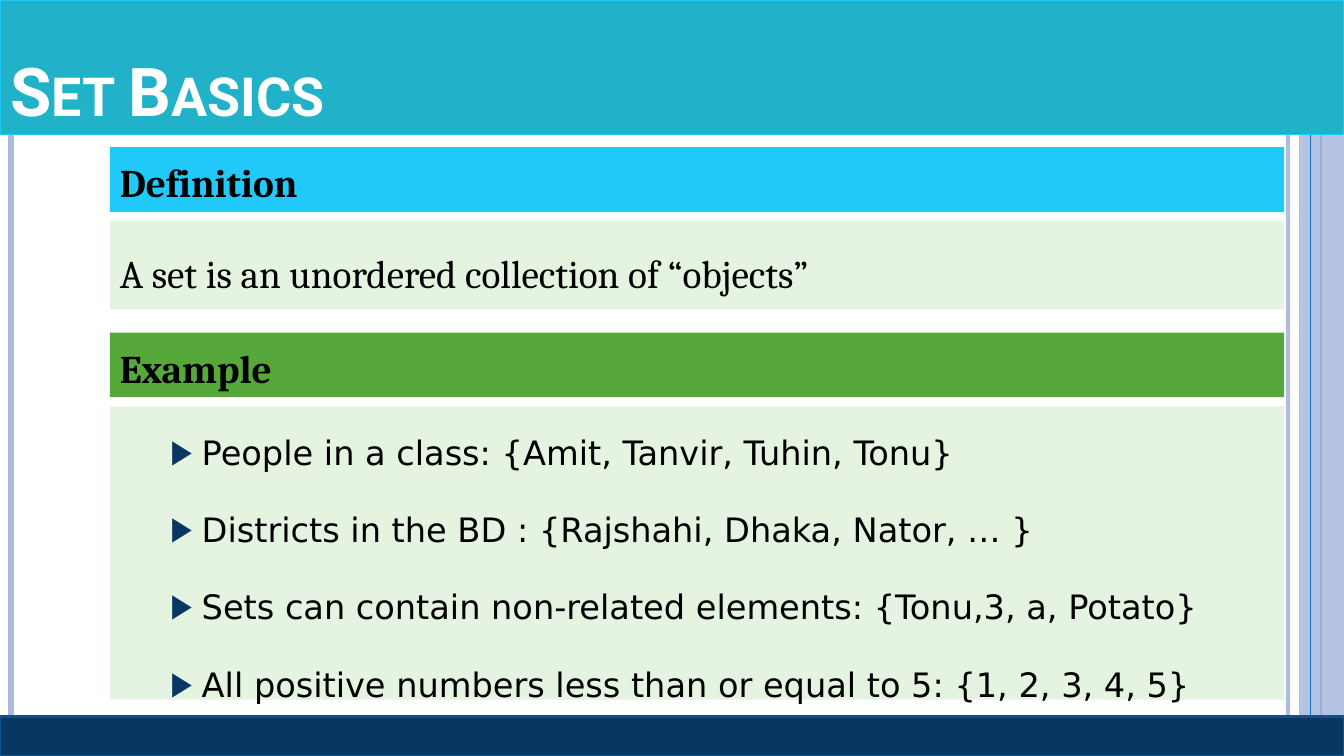
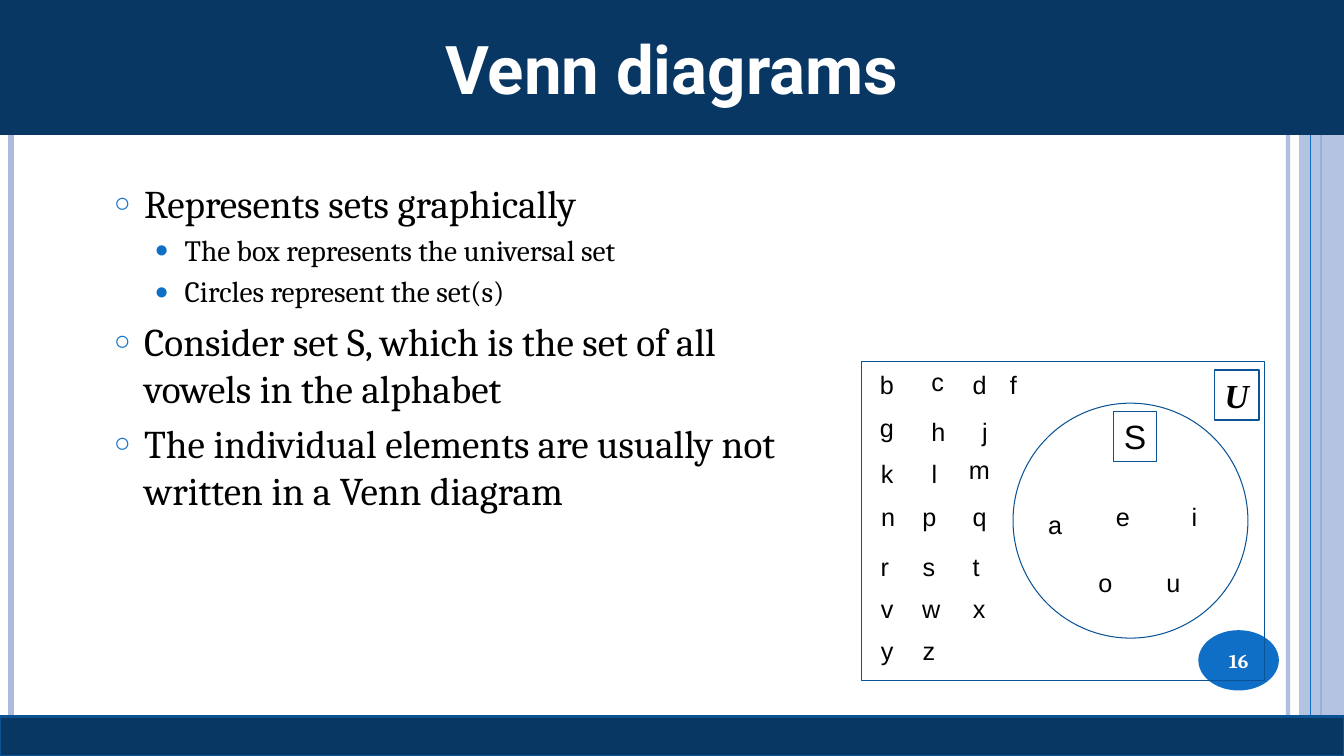
from dataclasses import dataclass

from lxml.etree import SubElement
from pptx import Presentation
from pptx.dml.color import RGBColor
from pptx.enum.shapes import MSO_CONNECTOR, MSO_SHAPE
from pptx.enum.text import MSO_ANCHOR, MSO_AUTO_SIZE, PP_ALIGN
from pptx.oxml.ns import qn
from pptx.util import Cm, Pt


@dataclass(frozen=True)
class Theme:
    """Colours, fonts and type sizes of the deck."""

    white: str = "FFFFFF"
    black: str = "000000"
    navy: str = "083763"
    navy_edge: str = "0B5292"
    outline: str = "0B5394"
    blue: str = "0F6FC6"
    lavender: str = "ABBBDF"
    teal: str = "21B2C9"
    cyan: str = "20C9F8"
    green: str = "55A839"
    mint: str = "E5F4E0"
    title_font: str = "Roboto"
    text_font: str = "Cambria"
    list_font: str = "DejaVu Sans"
    diagram_font: str = "Arial"
    symbol_font: str = "Times New Roman"
    title_size: int = 48
    text_size: int = 28
    list_size: int = 24
    detail_size: int = 21
    letter_size: int = 18
    number_size: int = 14


@dataclass(frozen=True)
class Bullet:
    """Look of one kind of list entry, with lengths in centimetres."""

    mark: str
    color: str
    percent: int
    margin: float
    hanging: float
    level: int
    font: str
    size: int
    before: float
    after: float = 0
    spacing: float = 1.0


THEME = Theme()
WIDTH, HEIGHT = 33.87, 19.05
TITLE_HEIGHT = 3.4
FOOTER_TOP = 18.06
PANEL_LEFT, PANEL_WIDTH = 2.77, 29.59

ARROW = Bullet("▶", THEME.navy, 100, 2.06, 0.79, 1, THEME.list_font, THEME.list_size, 6, 6, 1.5)
RING = Bullet("○", THEME.blue, 70, 0.76, 0.76, 0, THEME.text_font, THEME.text_size, 6)
DOT = Bullet("●", THEME.blue, 80, 1.78, 0.76, 1, THEME.text_font, THEME.detail_size, 4.2)

LETTER_ROWS = [
    (9.09, {"c": 23.63}),
    (9.19, {"b": 22.35, "d": 24.69, "f": 25.54}),
    (10.26, {"g": 22.35}),
    (10.36, {"h": 23.65, "j": 24.82}),
    (11.33, {"m": 24.68}),
    (11.43, {"k": 22.36, "l": 23.55}),
    (12.5, {"n": 22.38, "p": 23.42, "q": 24.69, "e": 28.3, "i": 30.1}),
    (12.7, {"a": 26.59}),
    (13.77, {"r": 22.3, "s": 23.41, "t": 24.6}),
    (14.17, {"o": 27.86, "u": 29.57}),
    (14.81, {"v": 22.36, "w": 23.47, "x": 24.68}),
    (15.88, {"y": 22.36, "z": 23.41}),
]


class Deck:
    """Holds the theme, the presentation and the slide being built."""

    def __init__(self, theme):
        """Start an empty widescreen presentation."""
        self.theme = theme
        self.deck = Presentation()
        self.deck.slide_width, self.deck.slide_height = Cm(WIDTH), Cm(HEIGHT)
        self.page = None

    def new_page(self, title, fill, **style):
        """Add a slide with its side rails, title band and footer band."""
        self.page = self.deck.slides.add_slide(self.deck.slide_layouts[1])
        self.rail(32.46, self.theme.lavender, 3, 93)
        self.rail(0.28, self.theme.lavender, 4.5)
        self.rail(33.3, self.theme.blue, 1.5)
        strip = self.shape((32.74, 0, 1.13, HEIGHT), self.theme.lavender)
        self.fade(strip, 87)
        self.rail(33.02, self.theme.blue, 0.75)
        self.title(title, fill, **style)
        self.shape((0, FOOTER_TOP, WIDTH, HEIGHT - FOOTER_TOP), self.theme.navy, self.theme.navy_edge, 2)

    def rail(self, left, color, weight, opacity=100):
        """Draw a full-height vertical line."""
        line = self.page.shapes.add_connector(
            MSO_CONNECTOR.STRAIGHT, Cm(left), 0, Cm(left), Cm(HEIGHT))
        line.line.color.rgb = RGBColor.from_string(color)
        line.line.width = Pt(weight)
        SubElement(line.element.spPr, qn("a:effectLst"))
        if opacity < 100:
            self.fade(line, opacity)

    def fade(self, shape, opacity):
        """Make the colours of a shape partly transparent."""
        for color in list(shape.element.spPr.iter(qn("a:srgbClr"))):
            SubElement(color, qn("a:alpha"), val=str(opacity * 1000))

    def place(self, shape, area):
        """Move a shape to an area given in centimetres."""
        shape.left, shape.top, shape.width, shape.height = (Cm(length) for length in area)

    def paint(self, shape, fill=None, line=None, weight=0.75):
        """Set the fill and outline of a shape."""
        if fill:
            shape.fill.solid()
            shape.fill.fore_color.rgb = RGBColor.from_string(fill)
        else:
            shape.fill.background()
        if line:
            shape.line.color.rgb = RGBColor.from_string(line)
            shape.line.width = Pt(weight)
        else:
            shape.line.fill.background()

    def shape(self, area, fill=None, line=None, weight=0.75, kind=MSO_SHAPE.RECTANGLE):
        """Add a preset shape without shadow."""
        shape = self.page.shapes.add_shape(kind, *(Cm(length) for length in area))
        shape.shadow.inherit = False
        self.paint(shape, fill, line, weight)
        return shape

    def span(self, para, text, font, size, color, bold=False, italic=False):
        """Add one formatted run to a paragraph."""
        span = para.add_run()
        span.text = text
        span.font.name, span.font.size = font, Pt(size)
        span.font.bold, span.font.italic = bold, italic
        span.font.color.rgb = RGBColor.from_string(color)
        return span

    def label(self, box, text, font, size, color=THEME.black, align=PP_ALIGN.CENTER,
              anchor=MSO_ANCHOR.MIDDLE, wrap=False, spacing=1.0, **style):
        """Put a single paragraph into a shape."""
        frame = box.text_frame
        frame.word_wrap, frame.vertical_anchor = wrap, anchor
        frame.auto_size = MSO_AUTO_SIZE.NONE
        para = frame.paragraphs[0]
        para.alignment, para.line_spacing = align, spacing
        para.space_before = Pt(0)
        return self.span(para, text, font, size, color, **style)

    def title(self, text, fill, line=None, align=PP_ALIGN.CENTER,
              anchor=MSO_ANCHOR.MIDDLE, small_caps=False):
        """Turn the title placeholder into the band on top of the rails."""
        box = self.page.shapes.title
        box.element.getparent().append(box.element)
        self.place(box, (0, 0, WIDTH, TITLE_HEIGHT))
        self.paint(box, fill, line)
        span = self.label(box, text, self.theme.title_font, self.theme.title_size,
                          self.theme.white, align, anchor, wrap=True, bold=True)
        if small_caps:
            span.font._element.set("cap", "small")

    def panel(self, top, height, fill, text, spacing, bold=False):
        """Add a filled text panel in the content column."""
        box = self.shape((PANEL_LEFT, top, PANEL_WIDTH, height), fill)
        self.label(box, text, self.theme.text_font, self.theme.text_size, align=PP_ALIGN.LEFT,
                   anchor=MSO_ANCHOR.TOP, wrap=True, spacing=spacing, bold=bold)

    def bullets(self, area, entries, fill=None):
        """Fill the body placeholder with bulleted entries."""
        box = self.page.placeholders[1]
        self.place(box, area)
        self.paint(box, fill)
        frame = box.text_frame
        frame.word_wrap, frame.vertical_anchor = True, MSO_ANCHOR.TOP
        frame.auto_size = MSO_AUTO_SIZE.NONE
        for index, (bullet, text) in enumerate(entries):
            para = frame.add_paragraph() if index else frame.paragraphs[0]
            para.level, para.alignment = bullet.level, PP_ALIGN.LEFT
            para.line_spacing, para.space_after = bullet.spacing, Pt(bullet.after)
            para.space_before = Pt(bullet.before if index else 0)
            self.mark(para, bullet)
            self.span(para, text, bullet.font, bullet.size, self.theme.black)

    def mark(self, para, bullet):
        """Give a paragraph its bullet and hanging indent."""
        properties = para._p.get_or_add_pPr()
        properties.set("marL", str(Cm(bullet.margin)))
        properties.set("indent", str(-Cm(bullet.hanging)))
        color = SubElement(properties, qn("a:buClr"))
        SubElement(color, qn("a:srgbClr"), val=bullet.color)
        SubElement(properties, qn("a:buSzPct"), val=str(bullet.percent * 1000))
        SubElement(properties, qn("a:buChar"), char=bullet.mark)

    def letter(self, text, center, top):
        """Add one element of the universal set."""
        width = 0.9
        box = self.page.shapes.add_textbox(Cm(center - width / 2), Cm(top), Cm(width), Cm(1.02))
        self.label(box, text, self.theme.diagram_font, self.theme.letter_size)

    def page_number(self, text):
        """Add the round page number badge."""
        badge = self.shape((30.2, 15.88, 2.03, 1.52), self.theme.blue, kind=MSO_SHAPE.OVAL)
        self.label(badge, text, self.theme.text_font, self.theme.number_size,
                   self.theme.white, bold=True)


def build_set_basics(deck):
    """Build the slide that defines a set and gives examples."""
    deck.new_page("Set Basics", THEME.teal, line=THEME.cyan, align=PP_ALIGN.LEFT,
                  anchor=MSO_ANCHOR.BOTTOM, small_caps=True)
    deck.panel(3.71, 1.63, THEME.cyan, "Definition", 1.14, bold=True)
    deck.panel(5.56, 2.24, THEME.mint, "A set is an unordered collection of “objects”", 1.5)
    deck.panel(8.38, 1.63, THEME.green, "Example", 1.14, bold=True)
    examples = [
        "People in a class: {Amit, Tanvir, Tuhin, Tonu}",
        "Districts in the BD : {Rajshahi, Dhaka, Nator, … }",
        "Sets can contain non-related elements: {Tonu,3, a, Potato}",
        "All positive numbers less than or equal to 5: {1, 2, 3, 4, 5}",
    ]
    deck.bullets((PANEL_LEFT, 10.24, PANEL_WIDTH, 7.39),
                 [(ARROW, example) for example in examples], THEME.mint)


def build_venn_diagrams(deck):
    """Build the slide that shows the vowels as a Venn diagram."""
    deck.new_page("Venn diagrams", THEME.navy)
    deck.bullets((2.62, 4.39, 18.26, 12.83), [
        (RING, "Represents sets graphically"),
        (DOT, "The box represents the universal set"),
        (DOT, "Circles represent the set(s)"),
        (RING, "Consider set S, which is the set of all vowels in the alphabet"),
        (RING, "The individual elements are usually not written in a Venn diagram"),
    ])
    deck.page_number("16")
    for top, letters in LETTER_ROWS:
        for letter, center in letters.items():
            deck.letter(letter, center, top)
    deck.shape((21.72, 9.1, 10.16, 8.05), line=THEME.outline)
    universe = deck.shape((30.61, 9.32, 1.12, 1.27), line=THEME.outline, weight=1)
    deck.label(universe, "U", THEME.symbol_font, THEME.list_size, bold=True, italic=True)
    deck.shape((25.53, 10.16, 5.92, 5.92), line=THEME.outline, kind=MSO_SHAPE.OVAL)
    vowels = deck.shape((28.07, 10.36, 1.07, 1.27), line=THEME.outline)
    deck.label(vowels, "S", THEME.diagram_font, THEME.list_size)


def main():
    """Build and save the deck."""
    deck = Deck(THEME)
    build_set_basics(deck)
    build_venn_diagrams(deck)
    deck.deck.save("out.pptx")


if __name__ == "__main__":
    main()
